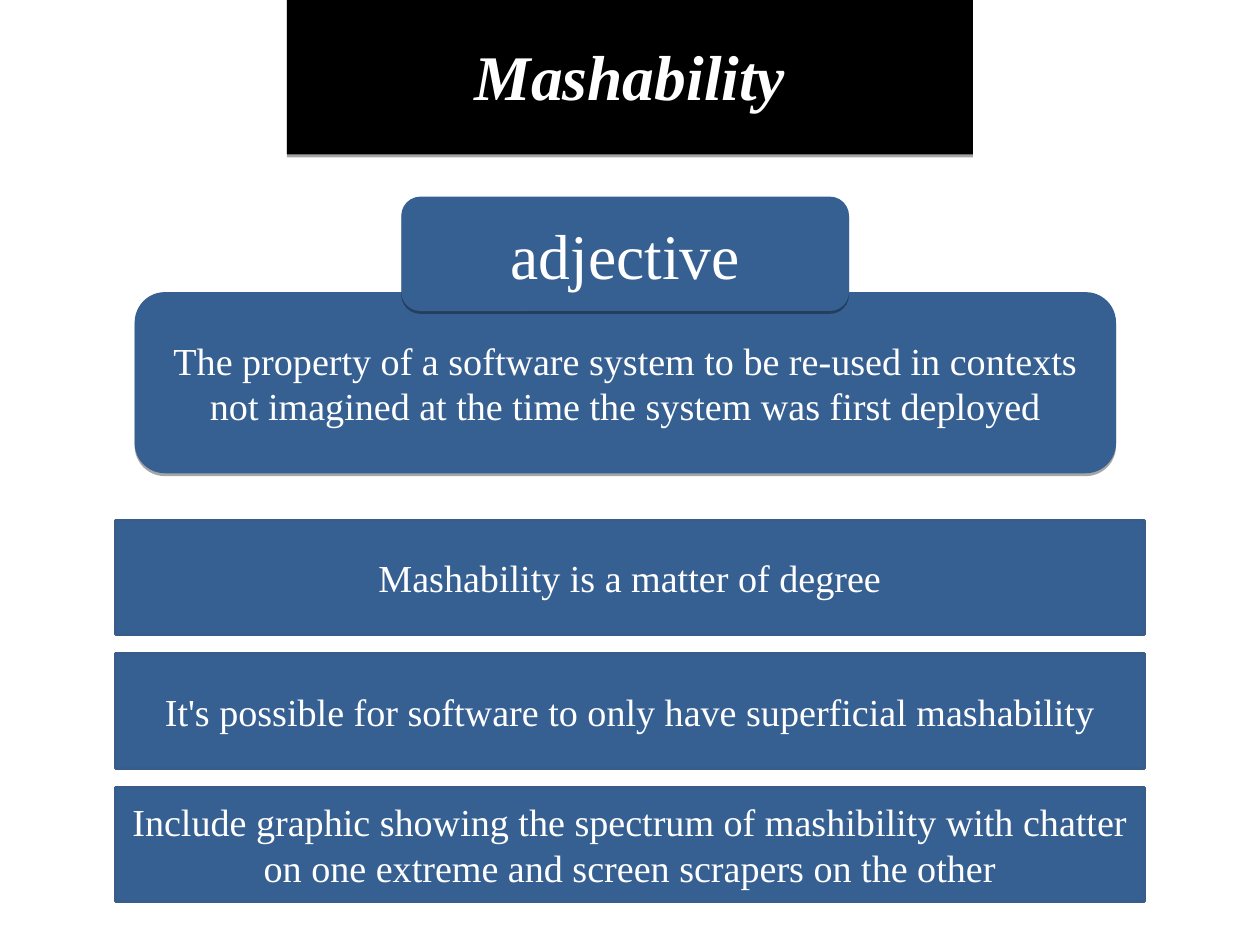
from lxml import etree
from pptx import Presentation
from pptx.dml import color
from pptx.enum import shapes, text
from pptx.oxml import ns
from pptx.util import Pt

SLIDE_SIZE = (793.44, 595.44)
TITLE = "Mashability"
WORD_CLASS = "adjective"
DEFINITION = (
    "The property of a software system to be re-used in contexts "
    "not imagined at the time the system was first deployed"
)
REMARKS = [
    "Mashability is a matter of degree",
    "It's possible for software to only have superficial mashability",
    "Include graphic showing the spectrum of mashibility with chatter "
    "on one extreme and screen scrapers on the other",
]

THEME = {
    "font": "Times New Roman",
    "text": "FFFFFF",
    "title_fill": "000000",
    "panel": "376092",
    "edge": "385D8A",
    "shadow": "000000",
    "heading": 40,
    "body": 24,
    "edge_width": 2,
    "corner": 0.167,
}

RECT = shapes.MSO_SHAPE.RECTANGLE
ROUNDED = shapes.MSO_SHAPE.ROUNDED_RECTANGLE

TITLE_BOX = (180.72, -2.16, 432, 99.36)
DEFINITION_BOX = (84.8, 183.9, 618, 114)
WORD_CLASS_BOX = (252.7, 123.8, 282, 72)
REMARK_LEFT, REMARK_TOP, REMARK_WIDTH, REMARK_HEIGHT = 72.6, 327.6, 648, 72
REMARK_PITCH = 84


def rgb(name):
    return color.RGBColor.from_string(THEME[name])


def cast_shadow(panel):
    effects = panel._element.spPr.find(ns.qn("a:effectLst"))
    shadow = etree.SubElement(
        effects, ns.qn("a:outerShdw"),
        blurRad="0", dist=str(Pt(1.8)), dir="5400000", rotWithShape="0",
    )
    shade = etree.SubElement(shadow, ns.qn("a:srgbClr"), val=THEME["shadow"])
    etree.SubElement(shade, ns.qn("a:alpha"), val="35000")


def add_panel(slide, kind, box, wording, size="body", fill="panel", edged=False, **emphasis):
    panel = slide.shapes.add_shape(kind, *map(Pt, box))
    panel.shadow.inherit = False
    panel.fill.solid()
    panel.fill.fore_color.rgb = rgb(fill)
    if kind == ROUNDED:
        panel.adjustments[0] = THEME["corner"]
    if edged:
        panel.line.color.rgb = rgb("edge")
        panel.line.width = Pt(THEME["edge_width"])
    else:
        panel.line.fill.background()
        cast_shadow(panel)

    frame = panel.text_frame
    frame.word_wrap = True
    frame.vertical_anchor = text.MSO_ANCHOR.MIDDLE
    paragraph = frame.paragraphs[0]
    paragraph.alignment = text.PP_ALIGN.CENTER
    run = paragraph.add_run()
    run.text = wording
    run.font.color.rgb = rgb("text")
    font_format = {"name": THEME["font"], "size": Pt(THEME[size]), **emphasis}
    for attribute, value in font_format.items():
        setattr(run.font, attribute, value)


def main():
    deck = Presentation()
    deck.slide_width, deck.slide_height = map(Pt, SLIDE_SIZE)
    slide = deck.slides.add_slide(deck.slide_layouts[6])

    add_panel(slide, ROUNDED, DEFINITION_BOX, DEFINITION)
    add_panel(slide, RECT, TITLE_BOX, TITLE, "heading", "title_fill", bold=True, italic=True)
    add_panel(slide, ROUNDED, WORD_CLASS_BOX, WORD_CLASS, "heading")
    for row, remark in enumerate(REMARKS):
        top = REMARK_TOP + row * REMARK_PITCH
        box = (REMARK_LEFT, top, REMARK_WIDTH, REMARK_HEIGHT)
        add_panel(slide, RECT, box, remark, edged=True)

    deck.save("out.pptx")


if __name__ == "__main__":
    main()
